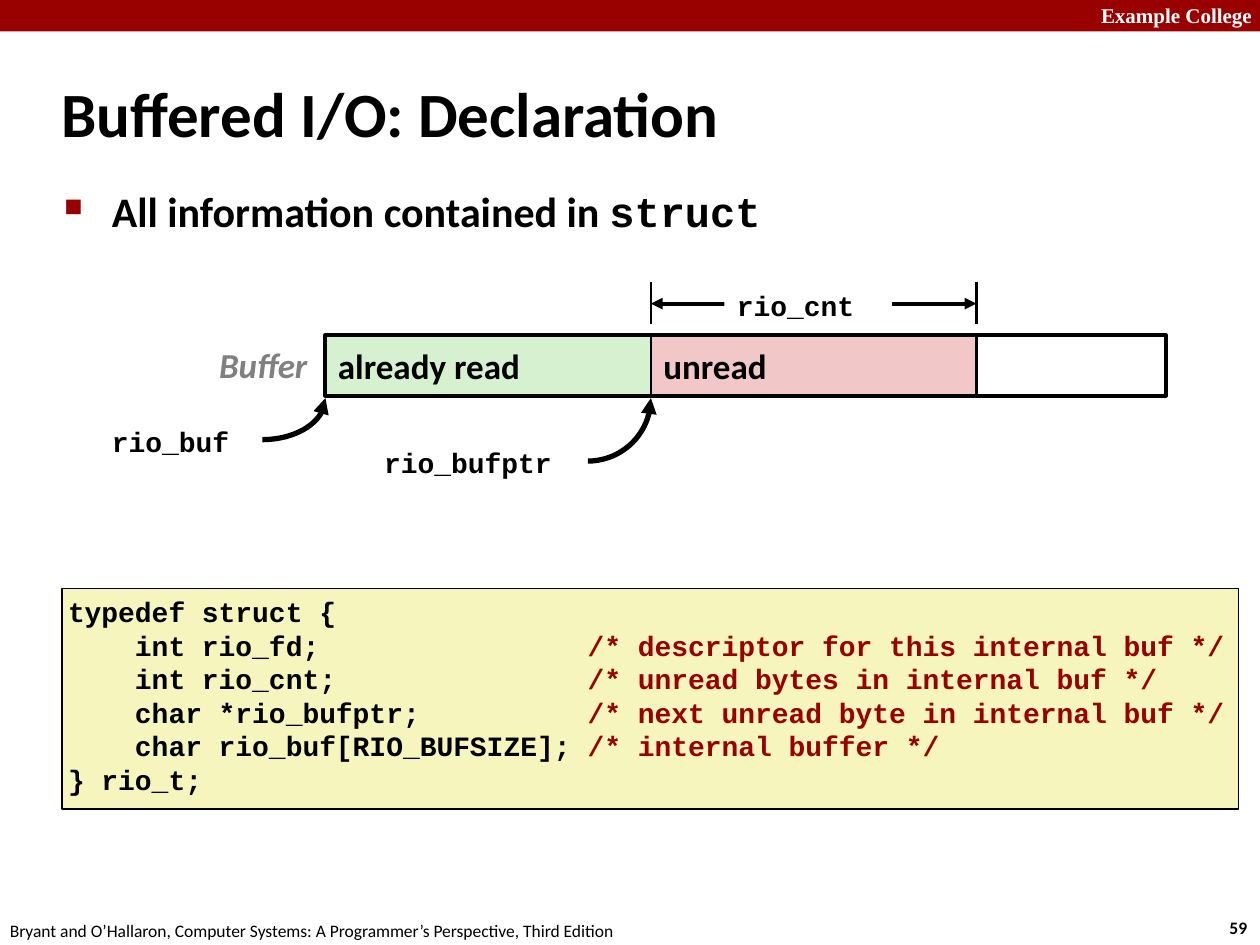
from math import cos, pi, sin

from lxml import etree
from pptx import Presentation
from pptx.dml.color import RGBColor
from pptx.enum.shapes import MSO_CONNECTOR, MSO_SHAPE
from pptx.enum.text import MSO_ANCHOR, PP_ALIGN
from pptx.oxml.ns import qn
from pptx.util import Inches, Pt

RECTANGLE = MSO_SHAPE.RECTANGLE
STRAIGHT = MSO_CONNECTOR.STRAIGHT
LEFT = PP_ALIGN.LEFT
TOP, MIDDLE = MSO_ANCHOR.TOP, MSO_ANCHOR.MIDDLE


class Theme:
    sans, mono, serif = "Calibri", "Courier New", "Times New Roman"
    black, white = RGBColor(0, 0, 0), RGBColor(255, 255, 255)
    crimson, gray = RGBColor(0x99, 0, 0), RGBColor(0x80, 0x80, 0x80)
    green, pink = RGBColor(0xD5, 0xF1, 0xCF), RGBColor(0xF1, 0xC7, 0xC7)
    cream = RGBColor(0xF6, 0xF5, 0xBD)
    title, body, label, code, header, footer = 36, 24, 20, 16, 12, 10


deck = Presentation()
deck.slide_width, deck.slide_height = Inches(10), Inches(7.5)
page = deck.slides.add_slide(deck.slide_layouts[6])

# Grid of 100 columns by 75 rows; every place is (left, top, width, height)
COLUMN, ROW = deck.slide_width / 100, deck.slide_height / 75


def add_box(place, fill=None, line=None, plain=False, anchor=TOP, wrap=True):
    """Add a rectangle, or a plain text box, on the grid."""
    left, top, width, height = place
    area = [round(size) for size in
            (left * COLUMN, top * ROW, width * COLUMN, height * ROW)]
    if plain:
        box = page.shapes.add_textbox(*area)
    else:
        box = page.shapes.add_shape(RECTANGLE, *area)
        box.shadow.inherit = False
        if fill is None:
            box.fill.background()
        else:
            box.fill.solid()
            box.fill.fore_color.rgb = fill
        if line is None:
            box.line.fill.background()
        else:
            box.line.color.rgb = Theme.black
            box.line.width = Pt(line)
    box.text_frame.word_wrap = wrap
    box.text_frame.vertical_anchor = anchor
    return box


def add_span(para, text, size, font=Theme.sans, color=Theme.black,
             bold=True, italic=False):
    """Add one run of text to a paragraph."""
    para.alignment = LEFT
    span = para.add_run()
    span.text = text
    span.font.name, span.font.size = font, Pt(size)
    span.font.bold, span.font.italic = bold, italic
    span.font.color.rgb = color


# Header band
add_box((0, 0, 100, 2.5), fill=Theme.crimson)

# Single-style labels: header, page number, footer, title
for place, wrap, anchor, text, size, style in (
    ((86.4, -0.3, 14.3, 3), True, TOP, "Example College", Theme.header,
     {"font": Theme.serif, "color": Theme.white}),
    ((96.6, 72.3, 3.7, 2.7), False, TOP, "59", Theme.footer, {}),
    ((-0.2, 72.5, 50.8, 2.7), False, TOP,
     "Bryant and O’Hallaron, Computer Systems: "
     "A Programmer’s Perspective, Third Edition",
     Theme.footer, {"bold": False}),
    ((3.9, 4.8, 83, 8.3), True, MIDDLE, "Buffered I/O: Declaration",
     Theme.title, {}),
):
    box = add_box(place, plain=True, wrap=wrap, anchor=anchor)
    add_span(box.text_frame.paragraphs[0], text, size, **style)

# Bullet
para = add_box((4.1, 14.2, 90.9, 6.6), plain=True).text_frame.paragraphs[0]
para.space_before = Pt(0.2 * Theme.body)
add_span(para, "All information contained in ", Theme.body)
add_span(para, "struct", Theme.body, font=Theme.mono)
settings = para._p.get_or_add_pPr()
settings.set("marL", str(Inches(0.38)))
settings.set("indent", str(-Inches(0.38)))
bullet_color = etree.SubElement(settings, qn("a:buClr"))
etree.SubElement(bullet_color, qn("a:srgbClr"), val=str(Theme.crimson))
etree.SubElement(settings, qn("a:buSzPct"), val="60000")
etree.SubElement(settings, qn("a:buChar"), char="■")

# Struct declaration, with comments lined up in one column
code = add_box((4.9, 46.7, 93.4, 17.5), fill=Theme.cream, line=1).text_frame
code.margin_left = code.margin_right = Inches(0.05)
COMMENT_COLUMN = 31
for number, (declaration, comment) in enumerate((
    ("typedef struct {", ""),
    ("    int rio_fd;", "/* descriptor for this internal buf */"),
    ("    int rio_cnt;", "/* unread bytes in internal buf */"),
    ("    char *rio_bufptr;", "/* next unread byte in internal buf */"),
    ("    char rio_buf[RIO_BUFSIZE];", "/* internal buffer */"),
    ("} rio_t;", ""),
)):
    para = code.add_paragraph() if number else code.paragraphs[0]
    if comment:
        declaration = declaration.ljust(COMMENT_COLUMN)
    add_span(para, declaration, Theme.code, font=Theme.mono)
    if comment:
        add_span(para, comment, Theme.code, font=Theme.mono,
                 color=Theme.crimson)

# Buffer: two equal sections inside one frame
BUFFER_LEFT, BUFFER_TOP, BUFFER_HEIGHT, SECTION = 25.83, 26.6, 4.8, 25.83
UNREAD_LEFT = BUFFER_LEFT + SECTION
UNREAD_RIGHT = UNREAD_LEFT + SECTION
for left, text, fill in ((UNREAD_LEFT, "unread", Theme.pink),
                         (BUFFER_LEFT, "already read", Theme.green)):
    box = add_box((left, BUFFER_TOP, SECTION, BUFFER_HEIGHT), fill=fill,
                  line=1.5, anchor=MIDDLE, wrap=False)
    add_span(box.text_frame.paragraphs[0], text, Theme.label)
add_box((BUFFER_LEFT, BUFFER_TOP, 66.7, BUFFER_HEIGHT), line=2.25)
box = add_box((16.4, 26.8, 9.3, 4.4), plain=True, wrap=False)
add_span(box.text_frame.paragraphs[0], "Buffer", Theme.label,
         color=Theme.gray, italic=True)

# Pointers: quarter ellipses with the arrowhead at the buffer
STEPS, POINTER_TOP = 24, 31.6
for tip, across, down, place, text in (
    (BUFFER_LEFT, 5, 3.3, (7.9, 33.2, 11.4, 3.4), "rio_buf"),
    (UNREAD_LEFT, 5, 5, (29.5, 34.9, 17.5, 3.4), "rio_bufptr"),
):
    angles = [step * pi / 2 / STEPS for step in range(STEPS + 1)]
    points = [(round((tip - across + across * cos(angle)) * COLUMN),
               round((POINTER_TOP + down * sin(angle)) * ROW))
              for angle in angles]
    builder = page.shapes.build_freeform(*points[0])
    builder.add_line_segments(points[1:], close=False)
    curve = builder.convert_to_shape()
    curve.shadow.inherit = False
    curve.fill.background()
    curve.line.color.rgb = Theme.black
    curve.line.width = Pt(3)
    etree.SubElement(curve.line._get_or_add_ln(), qn("a:headEnd"),
                     type="triangle")
    box = add_box(place, plain=True)
    add_span(box.text_frame.paragraphs[0], text, Theme.code, font=Theme.mono)

# Dimension of the unread section: two ticks and a double arrow
for start, end, width, arrows in (
    ((UNREAD_LEFT, 25.7), (UNREAD_LEFT, 22.4), 1.5, ()),
    ((UNREAD_RIGHT, 25.7), (UNREAD_RIGHT, 22.4), 1.5, ()),
    ((UNREAD_LEFT, 24.1), (UNREAD_RIGHT, 24.1), 2.25,
     ("a:headEnd", "a:tailEnd")),
):
    rule = page.shapes.add_connector(
        STRAIGHT, round(start[0] * COLUMN), round(start[1] * ROW),
        round(end[0] * COLUMN), round(end[1] * ROW))
    rule.line.color.rgb = Theme.black
    rule.line.width = Pt(width)
    for arrow in arrows:
        etree.SubElement(rule.line._get_or_add_ln(), qn(arrow),
                         type="triangle")
    etree.SubElement(rule._element.spPr, qn("a:effectLst"))
box = add_box((57.5, 22.4, 13.3, 3.4), fill=Theme.white)
add_span(box.text_frame.paragraphs[0], "rio_cnt", Theme.code, font=Theme.mono)

deck.save("out.pptx")
